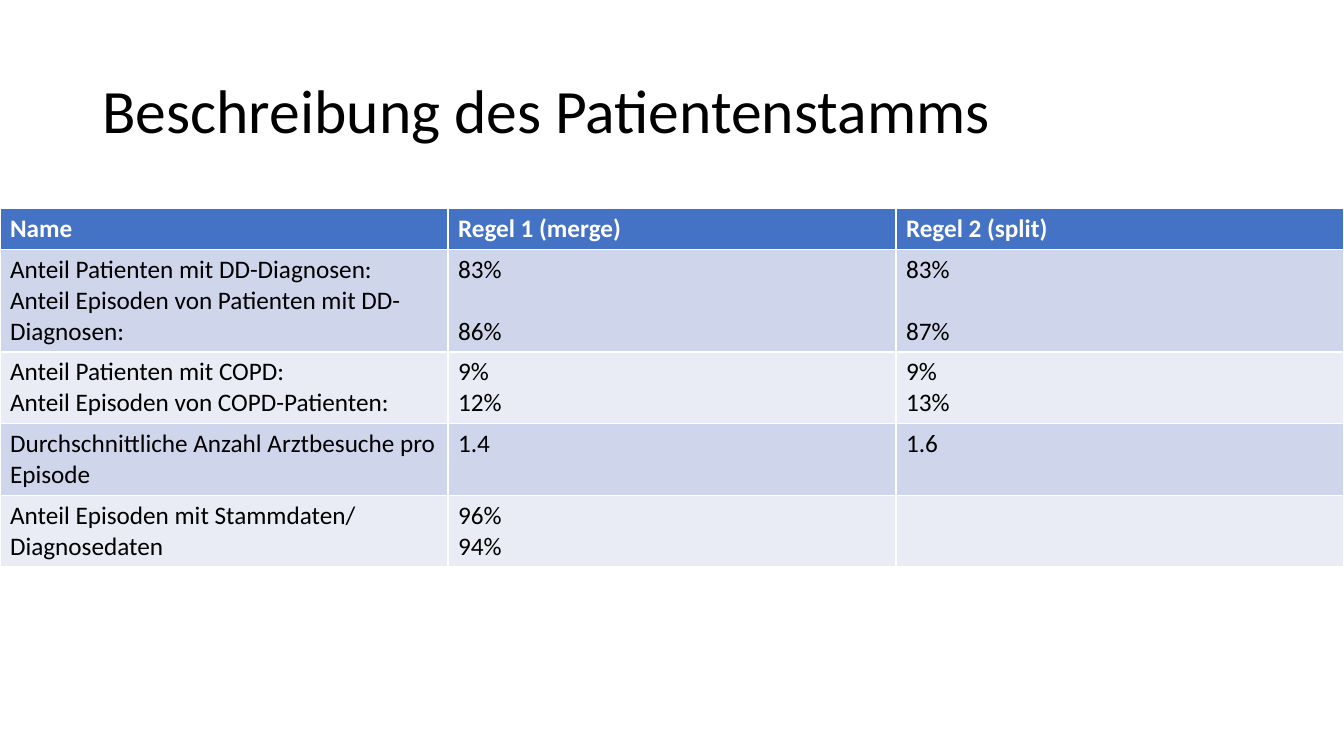
from pptx import Presentation
from pptx.dml.color import RGBColor
from pptx.enum.text import MSO_ANCHOR, MSO_AUTO_SIZE, PP_ALIGN
from pptx.util import Pt

LEFT, MIDDLE, NO_FIT = PP_ALIGN.LEFT, MSO_ANCHOR.MIDDLE, MSO_AUTO_SIZE.NONE
BLACK = RGBColor(0x00, 0x00, 0x00)
WHITE = RGBColor(0xFF, 0xFF, 0xFF)
HEADER_BLUE = RGBColor(0x44, 0x72, 0xC4)
BANDS = (RGBColor(0xCF, 0xD5, 0xEA), RGBColor(0xE9, 0xEB, 0xF5))

SLIDE_WIDTH, SLIDE_HEIGHT = 960, 540
LINE_HEIGHT = 22
CELL_PADDING = 7.2
TITLE_ONLY = 5

HEADINGS = ("Name", "Regel 1 (merge)", "Regel 2 (split)")
# Each row: number of lines, space before its second paragraphs of figures, cell texts
PATIENT_ROWS = (
    (3, LINE_HEIGHT, ("Anteil Patienten mit DD-Diagnosen:\n"
                      "Anteil Episoden von Patienten mit DD-Diagnosen:",
                      "83%\n86%", "83%\n87%")),
    (2, 0, ("Anteil Patienten mit COPD:\nAnteil Episoden von COPD-Patienten:",
            "9%\n12%", "9%\n13%")),
    (2, 0, ("Durchschnittliche Anzahl Arztbesuche pro Episode", "1.4", "1.6")),
    (2, 0, ("Anteil Episoden mit Stammdaten/\nDiagnosedaten", "96%\n94%", "")),
)


def write(frame, text, size=18, color=BLACK, bold=False, spacing=1.0, gap=0):
    """Fill a text frame, one paragraph per line, with gap points between them."""
    frame.text = text
    for index, paragraph in enumerate(frame.paragraphs):
        paragraph.alignment = LEFT
        paragraph.line_spacing = spacing
        paragraph.space_before = Pt(gap if index else 0)
        font = paragraph.font
        font.size = Pt(size)
        for run in paragraph.runs:
            run.font.name = "Calibri"
            run.font.size = Pt(size)
            run.font.bold = bold
            run.font.color.rgb = color


class SlideBuilder:
    def __init__(self, slide):
        self.slide = slide

    def title(self, text, left, top, width, height):
        heading = self.slide.shapes.title
        heading.left, heading.top = Pt(left), Pt(top)
        heading.width, heading.height = Pt(width), Pt(height)
        frame = heading.text_frame
        frame.word_wrap = True
        frame.auto_size = NO_FIT
        frame.vertical_anchor = MIDDLE
        write(frame, text, size=44, spacing=0.9)

    def table(self, headings, rows, left, top, width):
        heights = [CELL_PADDING + LINE_HEIGHT * lines
                   for lines in (1, *(row[0] for row in rows))]
        table = self.slide.shapes.add_table(
            len(heights), len(headings),
            Pt(left), Pt(top), Pt(width), Pt(sum(heights))).table
        for row, height in zip(table.rows, heights):
            row.height = Pt(height)
        for column, heading in enumerate(headings):
            self.cell(table.cell(0, column), heading, HEADER_BLUE,
                      color=WHITE, bold=True)
        for number, (_, figure_gap, texts) in enumerate(rows):
            for column, text in enumerate(texts):
                self.cell(table.cell(number + 1, column), text,
                          BANDS[number % 2], gap=figure_gap if column else 0)

    def cell(self, cell, text, fill, **text_format):
        cell.fill.solid()
        cell.fill.fore_color.rgb = fill
        write(cell.text_frame, text, **text_format)


def main():
    presentation = Presentation()
    presentation.slide_width = Pt(SLIDE_WIDTH)
    presentation.slide_height = Pt(SLIDE_HEIGHT)
    layout = presentation.slide_layouts[TITLE_ONLY]
    builder = SlideBuilder(presentation.slides.add_slide(layout))
    builder.title("Beschreibung des Patientenstamms", 66, 28.8, 828, 104.4)
    builder.table(HEADINGS, PATIENT_ROWS, 0, 149, SLIDE_WIDTH)
    presentation.save("out.pptx")


if __name__ == "__main__":
    main()
